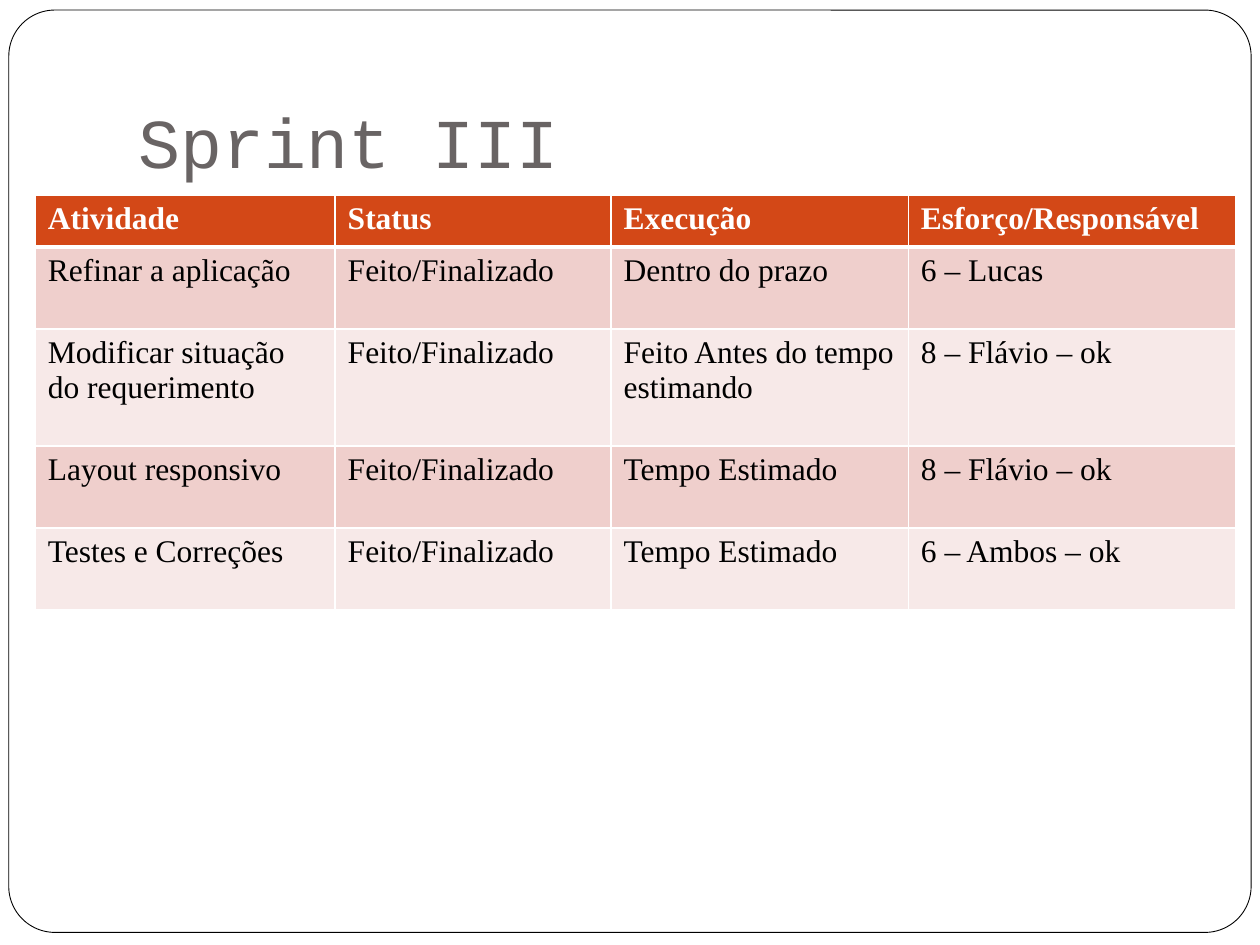
from typing import NamedTuple

import lxml.etree
import pptx
import pptx.dml.color
import pptx.enum.shapes
import pptx.enum.text
import pptx.oxml.ns
import pptx.util

RGBColor = pptx.dml.color.RGBColor
Inches = pptx.util.Inches
Pt = pptx.util.Pt

WHITE = RGBColor(0xFF, 0xFF, 0xFF)
BLACK = RGBColor(0x00, 0x00, 0x00)
TITLE_GRAY = RGBColor(0x69, 0x64, 0x64)
HEADER_ORANGE = RGBColor(0xD3, 0x48, 0x17)
BAND_DARK = RGBColor(0xEF, 0xCF, 0xCC)
BAND_LIGHT = RGBColor(0xF7, 0xE9, 0xE8)

COLUMN_WIDTHS = (2.38, 2.19, 2.36, 2.6)
ROW_HEIGHTS = (0.41, 0.65, 0.93, 0.65, 0.65)
TABLE_LEFT, TABLE_TOP = 0.28, 1.55
THIN, THICK = 1, 3


class Activity(NamedTuple):
    name: str
    status: str
    execution: str
    effort: str


HEADER = Activity("Atividade", "Status", "Execução", "Esforço/Responsável")
ACTIVITIES = (
    Activity("Refinar a aplicação", "Feito/Finalizado", "Dentro do prazo", "6 – Lucas"),
    Activity("Modificar situação do requerimento", "Feito/Finalizado",
             "Feito Antes do tempo estimando", "8 – Flávio – ok"),
    Activity("Layout responsivo", "Feito/Finalizado", "Tempo Estimado", "8 – Flávio – ok"),
    Activity("Testes e Correções", "Feito/Finalizado", "Tempo Estimado", "6 – Ambos – ok"),
)


def add_frame(slide) -> None:
    frame = slide.shapes.add_shape(
        pptx.enum.shapes.MSO_SHAPE.ROUNDED_RECTANGLE,
        Inches(0.07), Inches(0.08), Inches(9.86), Inches(7.32))
    frame.adjustments[0] = 0.05
    frame.shadow.inherit = False
    frame.fill.solid()
    frame.fill.fore_color.rgb = WHITE
    frame.line.color.rgb = BLACK
    frame.line.width = Pt(0.5)


def style_font(font, name: str, size: float, color: RGBColor, bold: bool = False) -> None:
    font.name = name
    font.size = Pt(size)
    font.color.rgb = color
    font.bold = bold


def add_title(slide, text: str) -> None:
    title = slide.shapes.add_textbox(Inches(1), Inches(0.3), Inches(8.5), Inches(1.25))
    text_frame = title.text_frame
    text_frame.word_wrap = True
    text_frame.vertical_anchor = pptx.enum.text.MSO_ANCHOR.BOTTOM
    text_frame.margin_bottom = Inches(0.1)
    paragraph = text_frame.paragraphs[0]
    paragraph.text = text
    style_font(paragraph.font, "Courier New", 40, TITLE_GRAY)


def set_borders(cell, top: float, bottom: float) -> None:
    """Draw white borders; the schema wants them ahead of the cell's fill."""
    properties = cell._tc.get_or_add_tcPr()
    sides = (("a:lnL", THIN), ("a:lnR", THIN), ("a:lnT", top), ("a:lnB", bottom))
    qn = pptx.oxml.ns.qn
    for position, (tag, width) in enumerate(sides):
        border = lxml.etree.Element(qn(tag), w=str(Pt(width)))
        fill = lxml.etree.SubElement(border, qn("a:solidFill"))
        lxml.etree.SubElement(fill, qn("a:srgbClr"), val=str(WHITE))
        properties.insert(position, border)


def fill_cell(cell, text: str, row: int) -> None:
    is_header = row == 0
    cell.fill.solid()
    cell.fill.fore_color.rgb = (
        HEADER_ORANGE if is_header else BAND_DARK if row % 2 else BAND_LIGHT)
    set_borders(cell, THICK if row == 1 else THIN, THICK if is_header else THIN)
    paragraph = cell.text_frame.paragraphs[0]
    paragraph.text = text
    style_font(paragraph.font, "Times New Roman", 18,
               WHITE if is_header else BLACK, is_header)


def add_activity_table(slide) -> None:
    table = slide.shapes.add_table(
        len(ROW_HEIGHTS), len(COLUMN_WIDTHS), Inches(TABLE_LEFT), Inches(TABLE_TOP),
        Inches(sum(COLUMN_WIDTHS)), Inches(sum(ROW_HEIGHTS))).table
    for column, width in zip(table.columns, COLUMN_WIDTHS):
        column.width = Inches(width)
    for row, height in zip(table.rows, ROW_HEIGHTS):
        row.height = Inches(height)
    for row_index, activity in enumerate((HEADER, *ACTIVITIES)):
        for column_index, text in enumerate(activity):
            fill_cell(table.cell(row_index, column_index), text, row_index)


def main() -> None:
    presentation = pptx.Presentation()
    presentation.slide_width = Inches(10)
    presentation.slide_height = Inches(7.5)
    slide = presentation.slides.add_slide(presentation.slide_layouts[6])
    add_frame(slide)
    add_title(slide, "Sprint III")
    add_activity_table(slide)
    presentation.save("out.pptx")


if __name__ == "__main__":
    main()
